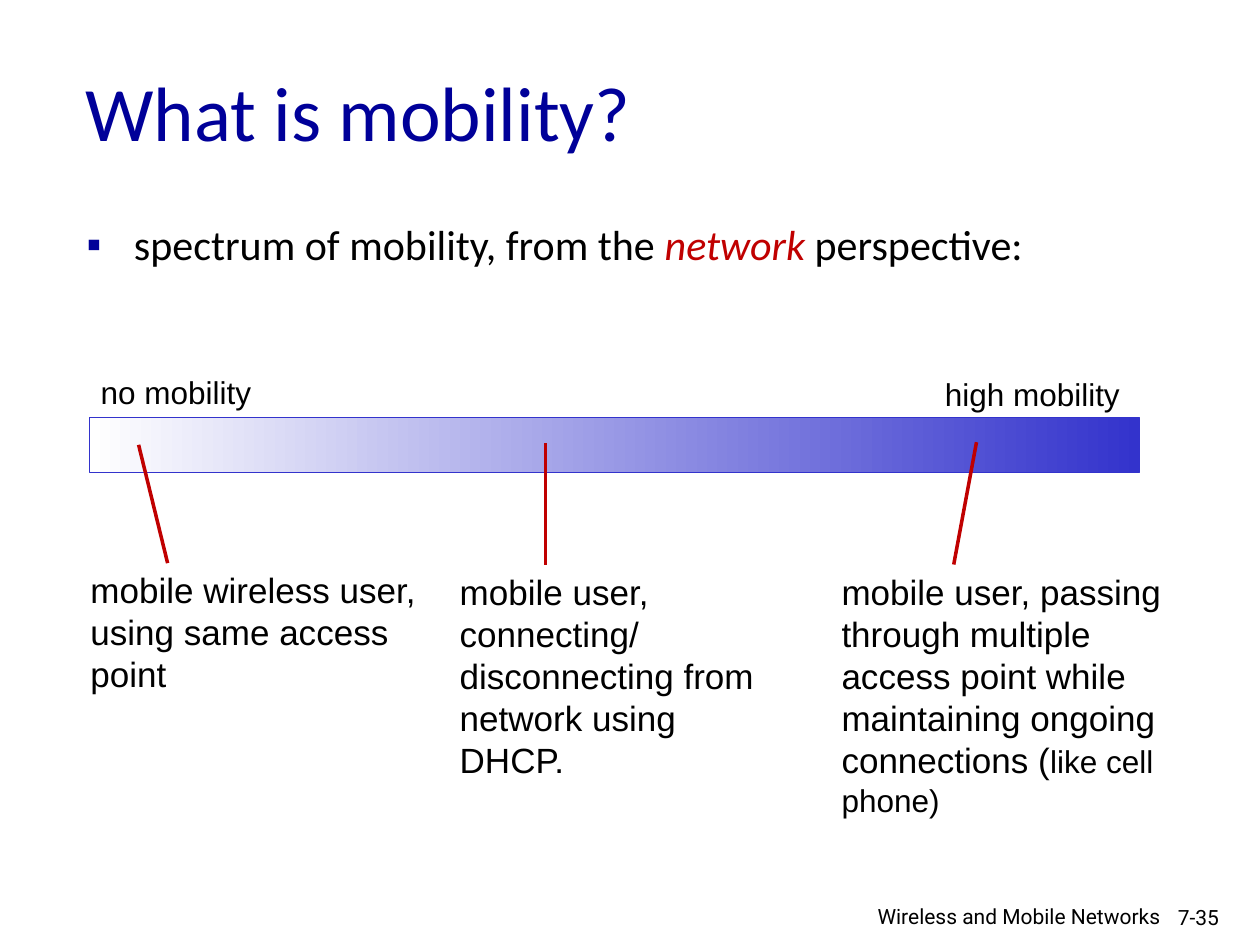
from lxml.etree import SubElement
from pptx import Presentation
from pptx.dml.color import RGBColor
from pptx.enum.shapes import MSO_CONNECTOR, MSO_SHAPE
from pptx.enum.text import MSO_ANCHOR, PP_ALIGN
from pptx.oxml.ns import qn
from pptx.util import Pt

NAVY = RGBColor(0x00, 0x00, 0x99)
BLUE = RGBColor(0x33, 0x33, 0xCC)
RED = RGBColor(0xC0, 0x00, 0x00)
BLACK = RGBColor(0x00, 0x00, 0x00)
WHITE = RGBColor(0xFF, 0xFF, 0xFF)

TITLE = ("What is mobility?", 44, NAVY)
STATEMENT = [
    ("spectrum of mobility, from the ", 24, BLACK),
    ("network ", 24, RED),
    ("perspective:", 24, BLACK),
]
SPECTRUM = (51, 238.5, 600, 31.7)
ENDS = [
    ("no mobility", (50.4, 209.5, 101.5, 28.8)),
    ("high mobility", (532.8, 210.5, 115.2, 28.8)),
]
EXAMPLES = [
    ([[("mobile wireless user,", 20)], [("using same access", 20)], [("point", 20)]],
     (44.6, 321.1, 214.6, 79.2), False, (95.8, 321.8, 79.2, 254.2)),
    ([[("mobile user, connecting/ disconnecting from network using DHCP.", 20)]],
     (255.6, 322.6, 191.5, 127.4), True, (311.8, 322.6, 311.8, 253.4)),
    ([[("mobile user, passing through multiple access point while "
        "maintaining ongoing connections (", 20), ("like cell phone)", 18)]],
     (473.8, 322.6, 211.7, 149), True, (545, 322.6, 558, 252.7)),
]
FOOTERS = [
    ("7-35", (666, 513.4, 54, 21.6), PP_ALIGN.LEFT),
    ("Wireless and Mobile Networks ", (460.8, 512.6, 212.4, 20.2), PP_ALIGN.RIGHT),
]


def add_text(slide, frame, paragraphs, font_name, wrap=True):
    box = slide.shapes.add_textbox(*map(Pt, frame))
    text_frame = box.text_frame
    text_frame.word_wrap = wrap
    for index, spans in enumerate(paragraphs):
        para = text_frame.add_paragraph() if index else text_frame.paragraphs[0]
        for text, size, color in spans:
            span = para.add_run()
            span.text = text
            span.font.name = font_name
            span.font.size = Pt(size)
            span.font.color.rgb = color
    return text_frame


def add_bullet(para, indent):
    properties = para._p.get_or_add_pPr()
    properties.set("marL", str(Pt(indent)))
    properties.set("indent", str(-Pt(indent)))
    color = SubElement(properties, qn("a:buClr"))
    SubElement(color, qn("a:srgbClr"), val=str(NAVY))
    SubElement(properties, qn("a:buFont"), typeface="Arial")
    SubElement(properties, qn("a:buChar"), char="▪")


def add_spectrum(slide):
    bar = slide.shapes.add_shape(MSO_SHAPE.RECTANGLE, *map(Pt, SPECTRUM))
    bar.shadow.inherit = False
    bar.fill.gradient()
    bar.fill.gradient_angle = 0
    for stop, position, color in zip(bar.fill.gradient_stops, (0, 1), (WHITE, BLUE)):
        stop.position = position
        stop.color.rgb = color
    bar.line.color.rgb = BLUE
    bar.line.width = Pt(0.75)


def add_pointer(slide, ends):
    pointer = slide.shapes.add_connector(MSO_CONNECTOR.STRAIGHT, *map(Pt, ends))
    pointer.line.color.rgb = RED
    pointer.line.width = Pt(2)
    SubElement(pointer._element.spPr, qn("a:effectLst"))


def main():
    deck = Presentation()
    deck.slide_width, deck.slide_height = Pt(720), Pt(540)
    slide = deck.slides.add_slide(deck.slide_layouts[6])

    title = add_text(slide, (41.8, 18, 612, 90), [[TITLE]], "Calibri")
    title.vertical_anchor = MSO_ANCHOR.MIDDLE

    statement = add_text(slide, (42.5, 126, 645.8, 45.4), [STATEMENT], "Calibri")
    para = statement.paragraphs[0]
    para.line_spacing = 0.85
    add_bullet(para, 27)
    para.runs[1].font.italic = True

    add_spectrum(slide)
    for text, frame in ENDS:
        add_text(slide, frame, [[(text, 18, BLACK)]], "Arial", wrap=False)

    for paragraphs, frame, wrap, pointer in EXAMPLES:
        colored = [[(*span, BLACK) for span in spans] for spans in paragraphs]
        add_text(slide, frame, colored, "Arial", wrap)
        add_pointer(slide, pointer)

    for text, frame, alignment in FOOTERS:
        footer = add_text(slide, frame, [[(text, 12, BLACK)]], "Roboto")
        footer.paragraphs[0].alignment = alignment

    deck.save("out.pptx")


if __name__ == "__main__":
    main()
